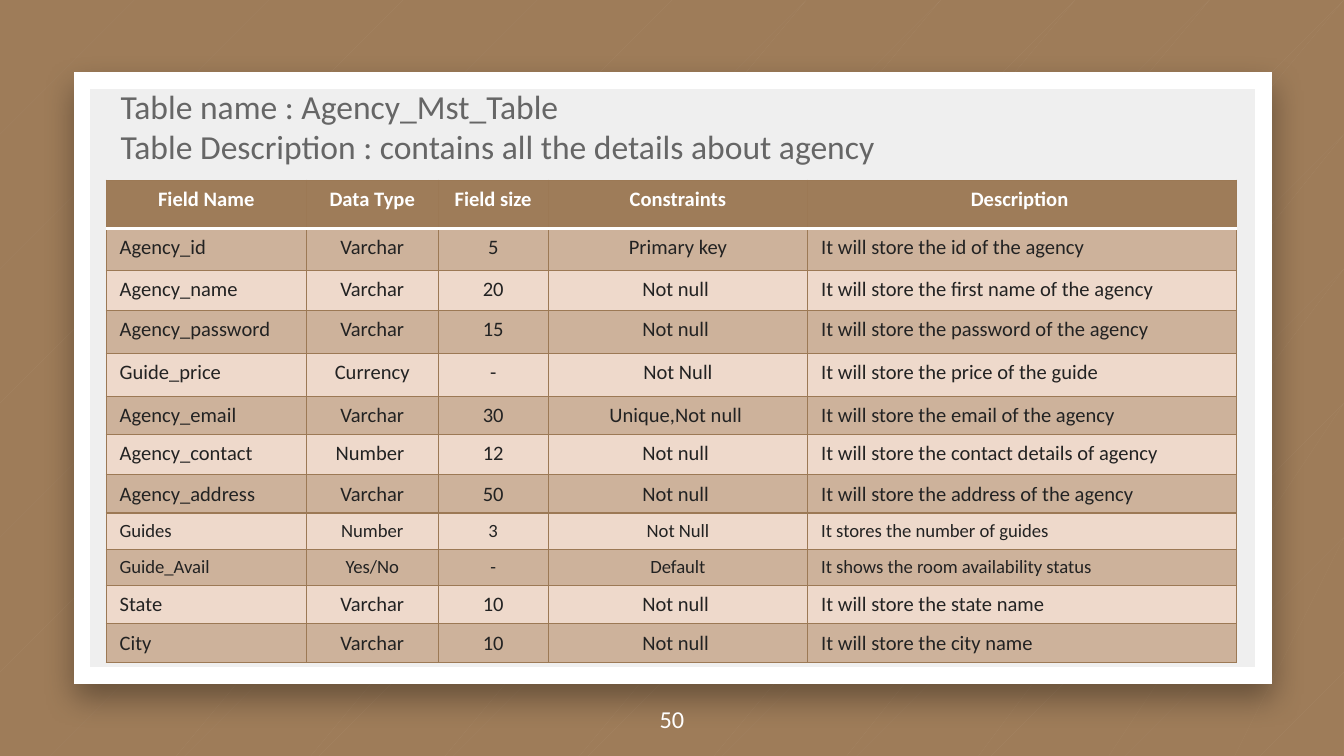
from dataclasses import dataclass

from lxml.etree import SubElement
from pptx import Presentation
from pptx.dml.color import RGBColor
from pptx.enum.shapes import MSO_SHAPE
from pptx.enum.text import MSO_ANCHOR, PP_ALIGN
from pptx.oxml.ns import qn
from pptx.slide import Slide
from pptx.table import _Cell
from pptx.util import Inches, Pt

WIDTH, HEIGHT = 10, 5.625
GRID = Inches(WIDTH) / 100  # one square grid step: a hundredth of the slide width
FONT = "Calibri"

BROWN = RGBColor(0x9E, 0x7C, 0x59)
BORDER = RGBColor(0x9C, 0x79, 0x55)
TAN = RGBColor(0xCD, 0xB2, 0x9B)
CREAM = RGBColor(0xEE, 0xD9, 0xCB)
PANEL_GREY = RGBColor(0xEF, 0xEF, 0xEF)
TITLE_GREY = RGBColor(0x66, 0x66, 0x66)
INK = RGBColor(0x22, 0x22, 0x22)
WHITE = RGBColor(0xFF, 0xFF, 0xFF)


@dataclass(frozen=True)
class Area:
    """A rectangle measured in grid steps."""
    left: float
    top: float
    width: float
    height: float

    def lengths(self) -> list[int]:
        return [round(step * GRID) for step in (self.left, self.top, self.width, self.height)]


@dataclass(frozen=True)
class Field:
    name: str
    data_type: str
    size: str
    constraint: str
    description: str
    height: float
    font_size: int = 11

    def texts(self) -> tuple[str, ...]:
        return self.name, self.data_type, self.size, self.constraint, self.description


PANEL = Area(6.1, 6, 87.9, 44.3)
TITLE = Area(8, 6.8, 80.3, 6.6)
PAGE_NUMBER = Area(0, 50.8, 100, 5.4)
TABLE = Area(7.9, 13.4, 84.2, 36)
COLUMN_WIDTHS = (14.9, 9.8, 8.2, 19.3, 31.9)
CENTRED_COLUMNS = (1, 2, 3)

HEADER = Field("Field Name", "Data Type", "Field size", "Constraints", "Description ", 3.6)
FIELDS = (
    Field("Agency_id", "Varchar", "5", "Primary key", "It will store the id of the agency", 3.1),
    Field("Agency_name", "Varchar", "20", "Not null ",
          "It will store the first name of the agency", 3),
    Field("Agency_password", "Varchar", "15", "Not null ",
          "It will store the password of the agency", 3.2),
    Field("Guide_price", "Currency", "-", "Not Null", "It will store the price of the guide", 3.2),
    Field("Agency_email", "Varchar", "30", "Unique,Not null ",
          "It will store the email of the agency", 2.7),
    Field("Agency_contact", "Number ", "12", "Not null ",
          "It will store the contact details of agency", 3),
    Field("Agency_address", "Varchar", "50", "Not null ",
          "It will store the address of the agency", 2.7),
    Field("Guides", "Number", "3", "Not Null", "It stores the number of guides", 2.7, 10),
    Field("Guide_Avail", "Yes/No", "-", "Default", "It shows the room availability status", 2.7, 10),
    Field("State", "Varchar", "10", "Not null ", "It will store the state name", 2.7),
    Field("City", "Varchar", "10", "Not null ", "It will store the city name", 2.9),
)


def add_stripes(slide: Slide) -> None:
    """Draw thin diagonals x + y = constant, clipped to the slide, as one shape."""
    first, pitch, thickness, count = 0.04, 7 / 32, 0.01, 72

    def diagonal(total: float) -> list[tuple[float, float]]:
        return [(min(total, WIDTH), max(0, total - WIDTH)),
                (max(0, total - HEIGHT), min(total, HEIGHT))]

    builder = None
    for index in range(count):
        start = first + index * pitch
        upper, lower = diagonal(start)
        far_upper, far_lower = diagonal(start + thickness)
        if builder is None:
            builder = slide.shapes.build_freeform(*upper, scale=Inches(1))
        else:
            builder.move_to(*upper)
        builder.add_line_segments([lower, far_lower, far_upper], close=True)
    stripes = builder.convert_to_shape()
    stripes.shadow.inherit = False
    stripes.line.fill.background()
    stripes.fill.solid()
    stripes.fill.fore_color.rgb = WHITE
    color = stripes._element.spPr.find(qn("a:solidFill"))[0]
    SubElement(color, qn("a:alpha"), val="10000")


def add_panel(slide: Slide) -> None:
    panel = slide.shapes.add_shape(MSO_SHAPE.RECTANGLE, *PANEL.lengths())
    panel.fill.solid()
    panel.fill.fore_color.rgb = PANEL_GREY
    panel.line.color.rgb = WHITE
    panel.line.width = Pt(9)
    SubElement(panel.line._get_or_add_ln(), qn("a:miter"), lim="800000")
    panel.shadow.inherit = False
    effects = panel._element.spPr.find(qn("a:effectLst"))
    shadow = SubElement(effects, qn("a:outerShdw"), blurRad=str(Pt(16.9)), dist=str(Pt(7.5)),
                        dir=str(90 * 60000), algn="t", rotWithShape="0")
    color = SubElement(shadow, qn("a:srgbClr"), val="000000")
    SubElement(color, qn("a:alpha"), val="35000")


def add_text(slide: Slide, area: Area, text: str, size: int, color: RGBColor,
             anchor: MSO_ANCHOR, alignment: PP_ALIGN) -> None:
    frame = slide.shapes.add_textbox(*area.lengths()).text_frame
    frame.word_wrap = True
    frame.vertical_anchor = anchor
    frame.margin_left = frame.margin_right = Inches(0.1)
    frame.margin_top = frame.margin_bottom = Inches(0.1)
    paragraph = frame.paragraphs[0]
    paragraph.text = text
    paragraph.alignment = alignment
    paragraph.font.name = FONT
    paragraph.font.size = Pt(size)
    paragraph.font.color.rgb = color


def set_border(cell: _Cell, side: str, color: RGBColor, width: float) -> None:
    line = SubElement(cell._tc.get_or_add_tcPr(), qn(f"a:ln{side}"), w=str(Pt(width)))
    SubElement(SubElement(line, qn("a:solidFill")), qn("a:srgbClr"), val=str(color))


def fill_cell(cell: _Cell, text: str, row: int, column: int, size: int) -> None:
    is_header = row == 0
    for side in "LRTB":
        under_header = (row, side) in ((0, "B"), (1, "T"))
        set_border(cell, side, WHITE if under_header else BORDER, 2 if under_header else 0.75)
    cell.fill.solid()
    cell.fill.fore_color.rgb = BROWN if is_header else TAN if row % 2 else CREAM
    paragraph = cell.text_frame.paragraphs[0]
    paragraph.text = text
    centred = is_header or column in CENTRED_COLUMNS
    paragraph.alignment = PP_ALIGN.CENTER if centred else PP_ALIGN.LEFT
    paragraph.font.name = FONT
    paragraph.font.size = Pt(size)
    paragraph.font.bold = is_header
    paragraph.font.color.rgb = WHITE if is_header else INK


def add_field_table(slide: Slide) -> None:
    fields = (HEADER, *FIELDS)
    table = slide.shapes.add_table(len(fields), len(COLUMN_WIDTHS), *TABLE.lengths()).table
    for column, width in zip(table.columns, COLUMN_WIDTHS):
        column.width = round(width * GRID)
    for row, field in enumerate(fields):
        table.rows[row].height = round(field.height * GRID)
        for column, text in enumerate(field.texts()):
            fill_cell(table.cell(row, column), text, row, column, field.font_size)


def main() -> None:
    presentation = Presentation()
    presentation.slide_width = Inches(WIDTH)
    presentation.slide_height = Inches(HEIGHT)
    slide = presentation.slides.add_slide(presentation.slide_layouts[6])
    slide.background.fill.solid()
    slide.background.fill.fore_color.rgb = BROWN
    add_stripes(slide)
    add_panel(slide)
    add_text(slide, TITLE, "Table name : Agency_Mst_Table\v"
             "Table Description : contains all the details about agency",
             18, TITLE_GREY, MSO_ANCHOR.BOTTOM, PP_ALIGN.LEFT)
    add_text(slide, PAGE_NUMBER, "50", 13, WHITE, MSO_ANCHOR.MIDDLE, PP_ALIGN.CENTER)
    add_field_table(slide)
    presentation.save("out.pptx")


if __name__ == "__main__":
    main()
